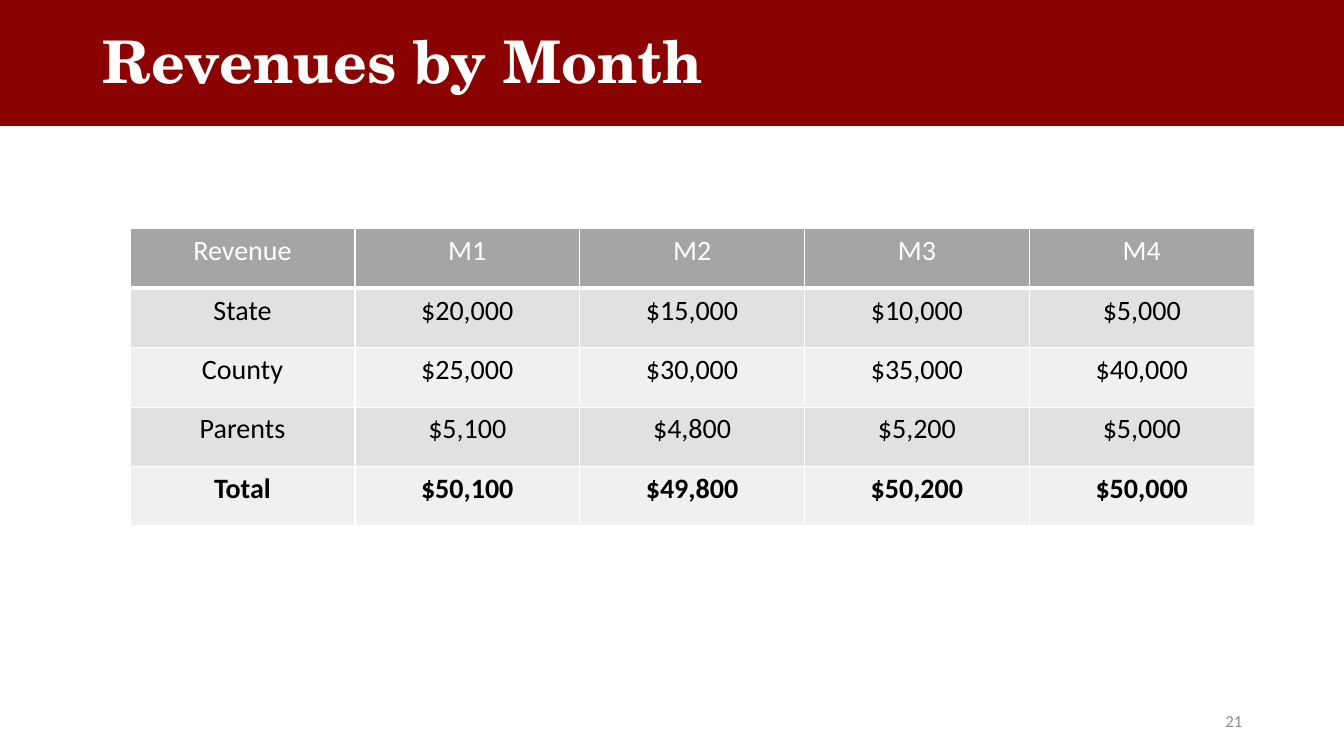
from lxml.etree import SubElement
from pptx import Presentation
from pptx.dml.color import RGBColor
from pptx.enum.shapes import MSO_SHAPE
from pptx.enum.text import MSO_ANCHOR, MSO_AUTO_SIZE, PP_ALIGN
from pptx.oxml.ns import qn
from pptx.util import Inches, Pt

RED, WHITE, BLACK = "8B0301", "FFFFFF", "000000"
HEADER_GRAY, NUMBER_GRAY = "A5A5A5", "8C8C8C"
BANDS = ["F0F0F0", "E1E1E1"]
COL_W, ROW_H = 2.23, 0.59
REVENUES = [
    ["Revenue", "M1", "M2", "M3", "M4"],
    ["State", "$20,000", "$15,000", "$10,000", "$5,000"],
    ["County", "$25,000", "$30,000", "$35,000", "$40,000"],
    ["Parents", "$5,100", "$4,800", "$5,200", "$5,000"],
    ["Total", "$50,100", "$49,800", "$50,200", "$50,000"],
]


def rgb(color):
    return RGBColor.from_string(color)


def style(p, font, size, color, align, bold=False):
    p.alignment = align
    p.font.name, p.font.size, p.font.bold = font, Pt(size), bold
    p.font.color.rgb = rgb(color)


prs = Presentation()
prs.slide_width, prs.slide_height = Inches(13.33), Inches(7.5)
s = prs.slides.add_slide(prs.slide_layouts[5])

# Title on its red band
title = s.shapes.title
title.left, title.top = Inches(0.92), Inches(0.25)
title.width, title.height = Inches(12.02), Inches(0.77)
tf = title.text_frame
tf.text = "Revenues by Month"
tf.auto_size = MSO_AUTO_SIZE.NONE
tf.vertical_anchor = MSO_ANCHOR.MIDDLE
p = tf.paragraphs[0]
p.line_spacing = 0.9
style(p, "TeX Gyre Schola", 42, WHITE, PP_ALIGN.LEFT, bold=True)

band = s.shapes.add_shape(MSO_SHAPE.RECTANGLE, 0, 0, prs.slide_width, Inches(1.24))
band.shadow.inherit = False
band.fill.solid()
band.fill.fore_color.rgb = rgb(RED)
band.line.color.rgb = rgb(RED)
band.line.width = Pt(1)
title.element.addprevious(band.element)

# Revenue table
n_rows, n_cols = len(REVENUES), len(REVENUES[0])
table = s.shapes.add_table(n_rows, n_cols, Inches(1.29), Inches(2.27),
                           Inches(n_cols * COL_W), Inches(n_rows * ROW_H)).table
for i, row in enumerate(REVENUES):
    is_header, is_total = i == 0, i == n_rows - 1
    for j, text in enumerate(row):
        cell = table.cell(i, j)
        cell.text = text
        style(cell.text_frame.paragraphs[0], "Calibri", 20,
              WHITE if is_header else BLACK, PP_ALIGN.CENTER, bold=is_total)
        tc_pr = cell._tc.get_or_add_tcPr()
        for side in ("lnL", "lnR", "lnT", "lnB"):
            width = 3 if is_header and side == "lnB" else 1
            ln = SubElement(tc_pr, qn(f"a:{side}"), w=str(Pt(width)))
            SubElement(SubElement(ln, qn("a:solidFill")), qn("a:srgbClr"), val=WHITE)
        cell.fill.solid()
        cell.fill.fore_color.rgb = rgb(HEADER_GRAY if is_header else BANDS[i % 2])
        # Borders come before the fill in the cell properties
        tc_pr.append(tc_pr.find(qn("a:solidFill")))

# Slide number
number = s.shapes.add_textbox(Inches(9.42), Inches(6.95), Inches(3), Inches(0.4))
tf = number.text_frame
tf.word_wrap = True
tf.vertical_anchor = MSO_ANCHOR.MIDDLE
tf.text = "21"
style(tf.paragraphs[0], "Calibri", 12, NUMBER_GRAY, PP_ALIGN.RIGHT)

prs.save("out.pptx")
